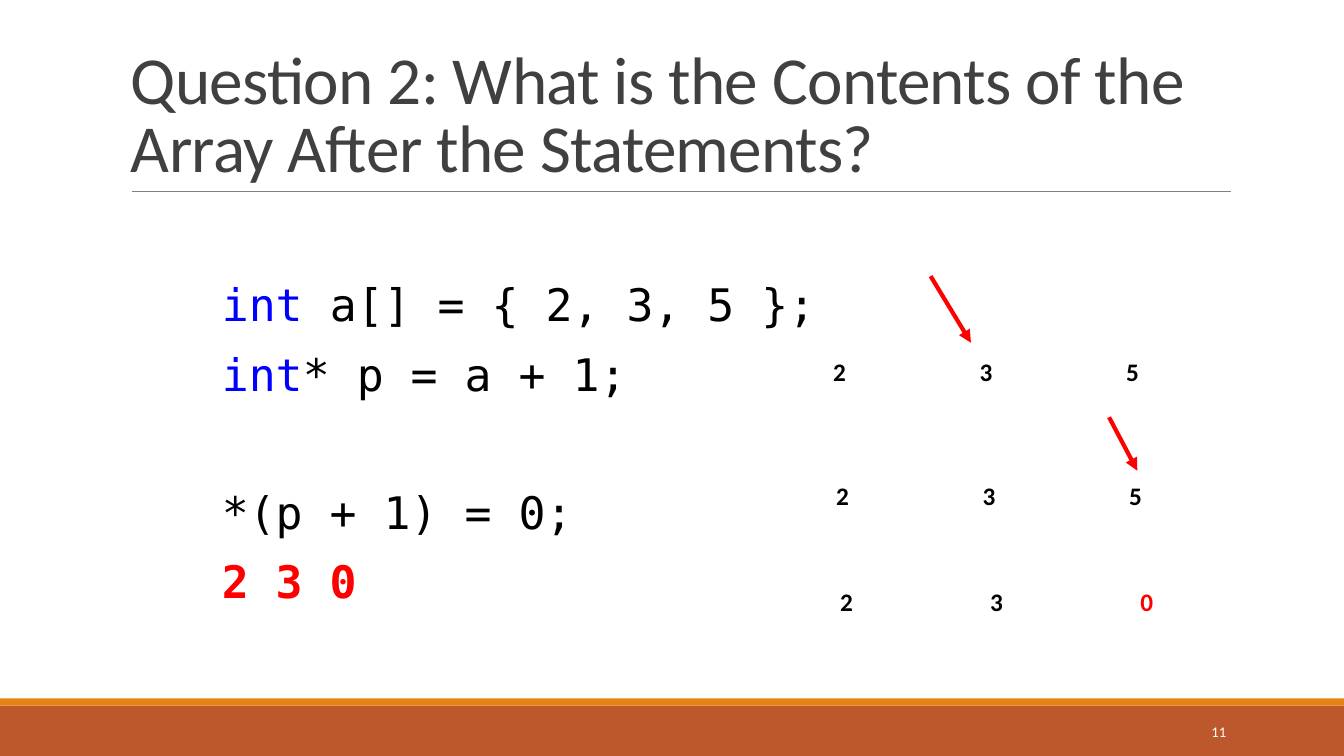
from lxml import etree
from pptx import Presentation
from pptx.dml.color import RGBColor
from pptx.enum.shapes import MSO_CONNECTOR as Link, MSO_SHAPE as Shape
from pptx.enum.text import MSO_ANCHOR as Anchor, PP_ALIGN as Align
from pptx.oxml.ns import qn
from pptx.util import Inches, Pt

BLACK, BLUE, RED, WHITE = "000000", "0000FF", "FF0000", "FFFFFF"
CODE = [
    [("int", BLUE), (" a[] = { 2, 3, 5 };", BLACK)],
    [("int", BLUE), ("* p = a + 1;", BLACK)],
    [("*(p + 1) = 0;", BLACK)],
    [("2 3 0", RED)],
]


def color(code):
    return RGBColor.from_string(code)


def write(para, text, size=18, font="Calibri", fill=BLACK, bold=False,
          align=Align.LEFT, track=None):
    """Add one run to a paragraph."""
    para.alignment = align
    run = para.add_run()
    run.text = text
    run.font.size, run.font.name, run.font.bold = Pt(size), font, bold
    run.font.color.rgb = color(fill)
    if track:
        run.font._element.set("spc", str(track))


def add_box(slide, x, y, w, h, anchor=Anchor.TOP):
    """Add an empty wrapping text box and give its text frame."""
    frame = slide.shapes.add_textbox(
        Inches(x), Inches(y), Inches(w), Inches(h)).text_frame
    frame.word_wrap = True
    frame.vertical_anchor = anchor
    return frame


def add_band(slide, x, y, w, h, fill):
    band = slide.shapes.add_shape(
        Shape.RECTANGLE, Inches(x), Inches(y), Inches(w), Inches(h))
    band.shadow.inherit = False
    band.fill.solid()
    band.fill.fore_color.rgb = color(fill)
    band.line.fill.background()


def add_line(slide, x1, y1, x2, y2, fill, width, arrow=False):
    line = slide.shapes.add_connector(
        Link.STRAIGHT, Inches(x1), Inches(y1), Inches(x2), Inches(y2))
    line.line.color.rgb = color(fill)
    line.line.width = Pt(width)
    if arrow:
        tail = etree.SubElement(line.line._get_or_add_ln(), qn("a:tailEnd"))
        tail.set("type", "triangle")
    etree.SubElement(line._element.spPr, qn("a:effectLst"))


def add_title(slide, x, y, w, h):
    para = add_box(slide, x, y, w, h, Anchor.BOTTOM).paragraphs[0]
    para.line_spacing = 0.85
    write(para, "Question 2: What is the Contents of the Array After "
          "the Statements?", size=48, fill="404040", track=-50)
    add_line(slide, x + 0.11, y + h, x + w + 0.01, y + h, "808080", 0.5)


def add_code(slide, x, y, w, h):
    frame = add_box(slide, x, y, w, h)
    frame.margin_left = frame.margin_right = 0
    for row, parts in enumerate(CODE):
        para = frame.add_paragraph() if row else frame.paragraphs[0]
        para.line_spacing = 0.9
        para.space_after = Pt(2)
        # The third statement stands one line apart from the declarations.
        para.space_before = Pt([0, 13, 62, 13][row])
        for text, fill in parts:
            write(para, text, size=32, font="DejaVu Sans Mono", fill=fill,
                  bold=fill == RED)


def add_array(slide, x, y, w, h, values, changed=None):
    """Show the array as a one-row table, with the changed item in red."""
    table = slide.shapes.add_table(
        1, len(values), Inches(x), Inches(y), Inches(w), Inches(h)).table
    for col, value in enumerate(values):
        cell = table.cell(0, col)
        cell.fill.solid()
        cell.fill.fore_color.rgb = color(WHITE)
        write(cell.text_frame.paragraphs[0], str(value), bold=True,
              fill=RED if col == changed else BLACK, align=Align.CENTER)


def add_footer(slide, x, y, w, h):
    add_band(slide, x, y + 0.07, w, h - 0.07, "BD582C")
    add_band(slide, x, y, w, 0.07, "E48312")
    frame = add_box(slide, x + 10.83, y + 0.13, 1.43, 0.4, Anchor.MIDDLE)
    write(frame.paragraphs[0], "11", size=10.5, fill=WHITE, align=Align.RIGHT)


def main():
    deck = Presentation()
    deck.slide_width, deck.slide_height = Inches(13.33), Inches(7.5)
    slide = deck.slides.add_slide(deck.slide_layouts[6])
    add_footer(slide, 0, 6.93, 13.33, 0.57)
    add_title(slide, 1.2, 0.31, 11, 1.59)
    add_code(slide, 2.2, 2.76, 10, 4.06)
    add_array(slide, 7.6, 3.5, 4.36, 0.41, [2, 3, 5])
    add_array(slide, 7.63, 4.73, 4.36, 0.41, [2, 3, 5])
    add_line(slide, 9.23, 2.74, 9.63, 3.4, RED, 3, arrow=True)
    add_line(slide, 11, 4.14, 11.28, 4.67, RED, 3, arrow=True)
    add_array(slide, 7.65, 5.78, 4.47, 0.41, [2, 3, 0], changed=2)
    deck.save("out.pptx")


if __name__ == "__main__":
    main()
